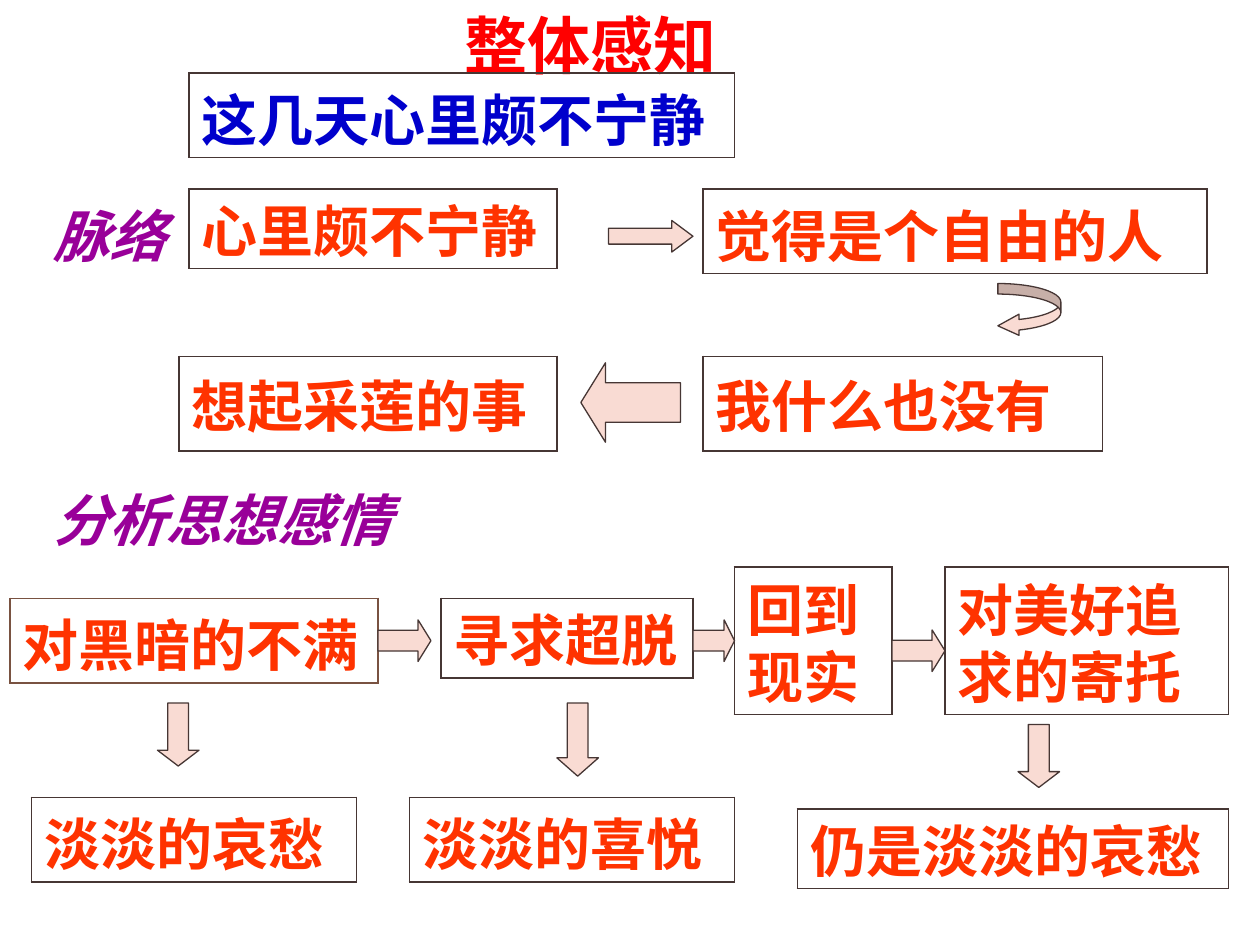
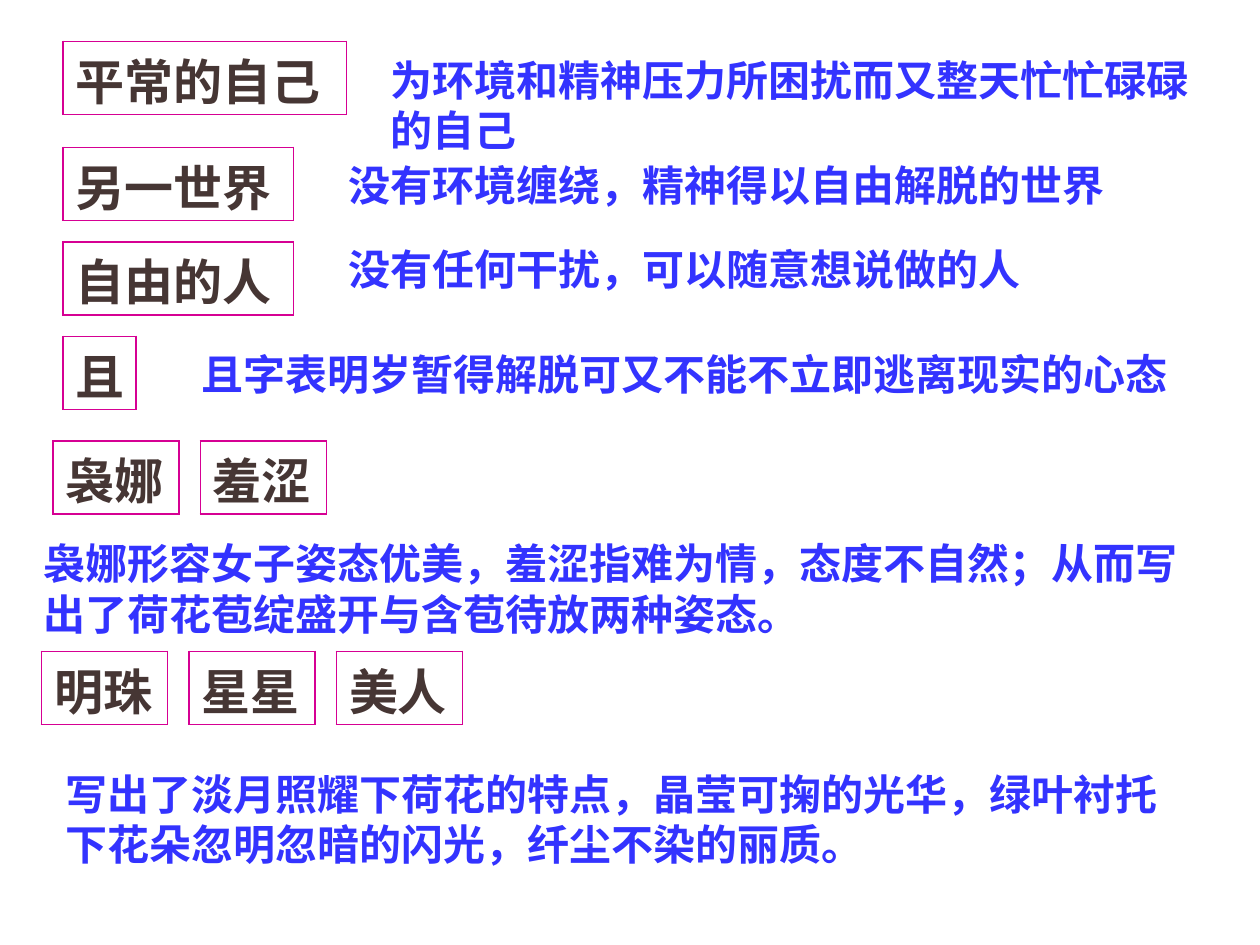
from lxml import etree
from pptx import Presentation
from pptx.dml.color import RGBColor
from pptx.enum.shapes import MSO_SHAPE
from pptx.oxml.ns import qn
from pptx.util import Inches, Pt

RIGHT = MSO_SHAPE.RIGHT_ARROW
LEFT = MSO_SHAPE.LEFT_ARROW
DOWN = MSO_SHAPE.DOWN_ARROW
CURVED = MSO_SHAPE.CURVED_LEFT_ARROW

RED = RGBColor(0xFF, 0x00, 0x00)
ORANGE = RGBColor(0xFF, 0x33, 0x00)
NAVY = RGBColor(0x00, 0x00, 0xCC)
BLUE = RGBColor(0x33, 0x33, 0xFF)
PURPLE = RGBColor(0x99, 0x00, 0x99)
PINK = RGBColor(0xF9, 0xDB, 0xD3)
MAGENTA = RGBColor(0xD6, 0x00, 0x93)
DARK = RGBColor(0x46, 0x36, 0x34)
BROWN = RGBColor(0x79, 0x52, 0x41)

LATIN_FONT = "Times New Roman"
CHINESE_FONT = "Noto Sans CJK SC"
LINE_FACTOR = 1.2

TITLE = ("整体感知", 3.59, -0.05, 2.2, 0.7)
HEADINGS = [
    ("脉络", 0.33, 1.5, 1.92, 0.64),
    ("分析思想感情", 0.33, 3.75, 3.17, 0.64),
]
OPENING = ("这几天心里颇不宁静", 1.5, 0.58, 4.33, 0.67)
DISCONTENT = ("对黑暗的不满", 0.08, 4.75, 2.92, 0.67)
STAGES = [
    ("心里颇不宁静", 1.5, 1.5, 2.92, 0.63),
    ("觉得是个自由的人", 5.58, 1.5, 4, 0.67),
    ("我什么也没有", 5.58, 2.83, 3.17, 0.75),
    ("想起采莲的事", 1.42, 2.83, 3, 0.75),
    ("寻求超脱", 3.5, 4.75, 2, 0.63),
    ("淡淡的哀愁", 0.25, 6.33, 2.58, 0.67),
    ("淡淡的喜悦", 3.25, 6.33, 2.58, 0.67),
    ("仍是淡淡的哀愁", 6.33, 6.42, 3.42, 0.63),
]
TALL_STAGES = [
    ("回到现实", 5.83, 4.5, 1.25, 1.17),
    ("对美好追求的寄托", 7.5, 4.5, 2.25, 1.17),
]
ARROWS = [
    (RIGHT, 4.83, 1.75, 0.67, 0.25, (0.5, 0.67)),
    (CURVED, 7.92, 2.25, 0.5, 0.42, (0.2, 0.4, 0.4)),
    (LEFT, 4.61, 2.88, 0.79, 0.63, (0.5, 0.31)),
    (RIGHT, 3, 4.92, 0.42, 0.33, (0.5, 0.31)),
    (RIGHT, 5.5, 4.92, 0.33, 0.33, (0.5, 0.25)),
    (RIGHT, 7.08, 5, 0.42, 0.33, (0.5, 0.31)),
    (DOWN, 1.25, 5.58, 0.33, 0.5, (0.5, 0.38)),
    (DOWN, 4.42, 5.58, 0.33, 0.58, (0.5, 0.44)),
    (DOWN, 8.08, 5.75, 0.33, 0.5, (0.5, 0.38)),
]

TERMS = [
    ("平常的自己", 0.5, 0.33, 2.25),
    ("另一世界", 0.5, 1.17, 1.83),
    ("自由的人", 0.5, 1.92, 1.83),
    ("且", 0.5, 2.67, 0.58),
]
WORD_ROWS = [
    (0.42, 3.5, ["袅娜", "羞涩"]),
    (0.33, 5.17, ["明珠", "星星", "美人"]),
]
TERM_HEIGHT = 0.58
WORD_WIDTH = 1
WORD_STEP = 1.17
EXPLANATIONS = [
    ("为环境和精神压力所困扰而又整天忙忙碌碌的自己", 3, 0.33, 6.58, 0.9),
    ("没有环境缠绕，精神得以自由解脱的世界", 2.67, 1.17, 6.83, 0.5),
    ("没有任何干扰，可以随意想说做的人", 2.67, 1.83, 6.92, 0.5),
    ("且字表明岁暂得解脱可又不能不立即逃离现实的心态", 1.5, 2.67, 8.17, 0.5),
    ("袅娜形容女子姿态优美，羞涩指难为情，态度不自然；从而写出了荷花苞绽盛开与含苞待放两种姿态。",
     0.25, 4.17, 9.5, 0.9),
    ("写出了淡月照耀下荷花的特点，晶莹可掬的光华，绿叶衬托下花朵忽明忽暗的闪光，纤尘不染的丽质。",
     0.42, 6, 9.17, 0.9),
]


def write(text_frame, text, size, color, italic=False, font_name=LATIN_FONT):
    text_frame.text = text
    paragraph = text_frame.paragraphs[0]
    paragraph.line_spacing = Pt(size * LINE_FACTOR)
    run = paragraph.runs[0]
    run.font.size = Pt(size)
    run.font.bold = True
    if italic:
        run.font.italic = True
    run.font.color.rgb = color
    run.font.name = font_name
    east_asian = etree.SubElement(run.font._element, qn("a:ea"))
    east_asian.set("typeface", CHINESE_FONT)


def add_text(slide, item, size, color, wrap=True, **style):
    text, *bounds = item
    text_frame = slide.shapes.add_textbox(*map(Inches, bounds)).text_frame
    text_frame.word_wrap = wrap
    text_frame.margin_top = Inches(0.1)
    text_frame.margin_bottom = 0
    write(text_frame, text, size, color, **style)


def add_borders(cell, color):
    properties = cell._tc.get_or_add_tcPr()
    for position, side in enumerate(("a:lnL", "a:lnR", "a:lnT", "a:lnB")):
        line = etree.Element(qn(side), w=str(Pt(1.08)))
        fill = etree.SubElement(line, qn("a:solidFill"))
        etree.SubElement(fill, qn("a:srgbClr"), val=str(color))
        properties.insert(position, line)


def add_box(slide, item, size, color, border, lines=1):
    text, left, top, width, height = item
    table = slide.shapes.add_table(
        1, 1, Inches(left), Inches(top), Inches(width), Inches(height)).table
    table.first_row = False
    table.horz_banding = False
    cell = table.cell(0, 0)
    spare = height - lines * size * LINE_FACTOR / 72
    cell.margin_top = Inches(min(0.16, spare))
    cell.margin_bottom = 0
    cell.fill.background()
    add_borders(cell, border)
    write(cell.text_frame, text, size, color)


def add_arrow(slide, kind, left, top, width, height, adjustments):
    shape = slide.shapes.add_shape(
        kind, Inches(left), Inches(top), Inches(width), Inches(height))
    for index, value in enumerate(adjustments):
        shape.adjustments[index] = value
    shape.shadow.inherit = False
    shape.fill.solid()
    shape.fill.fore_color.rgb = PINK
    shape.line.color.rgb = DARK
    shape.line.width = Pt(0.75)


def build_overview(slide):
    add_text(slide, TITLE, 36, RED, wrap=False, font_name=CHINESE_FONT)
    for heading in HEADINGS:
        add_text(slide, heading, 32, PURPLE, italic=True)
    add_box(slide, OPENING, 32, NAVY, DARK)
    add_box(slide, DISCONTENT, 32, ORANGE, BROWN)
    for stage in STAGES:
        add_box(slide, stage, 32, ORANGE, DARK)
    for stage in TALL_STAGES:
        add_box(slide, stage, 32, ORANGE, DARK, lines=2)
    for arrow in ARROWS:
        add_arrow(slide, *arrow)


def build_terms(slide):
    words = [(word, left + index * WORD_STEP, top, WORD_WIDTH)
             for left, top, row in WORD_ROWS for index, word in enumerate(row)]
    for term in TERMS + words:
        add_box(slide, (*term, TERM_HEIGHT), 28, DARK, MAGENTA)
    for explanation in EXPLANATIONS:
        add_text(slide, explanation, 24, BLUE)


def main():
    presentation = Presentation()
    presentation.slide_width = Inches(10)
    presentation.slide_height = Inches(7.5)
    blank = presentation.slide_layouts[6]
    for build in (build_overview, build_terms):
        build(presentation.slides.add_slide(blank))
    presentation.save("out.pptx")


if __name__ == "__main__":
    main()
